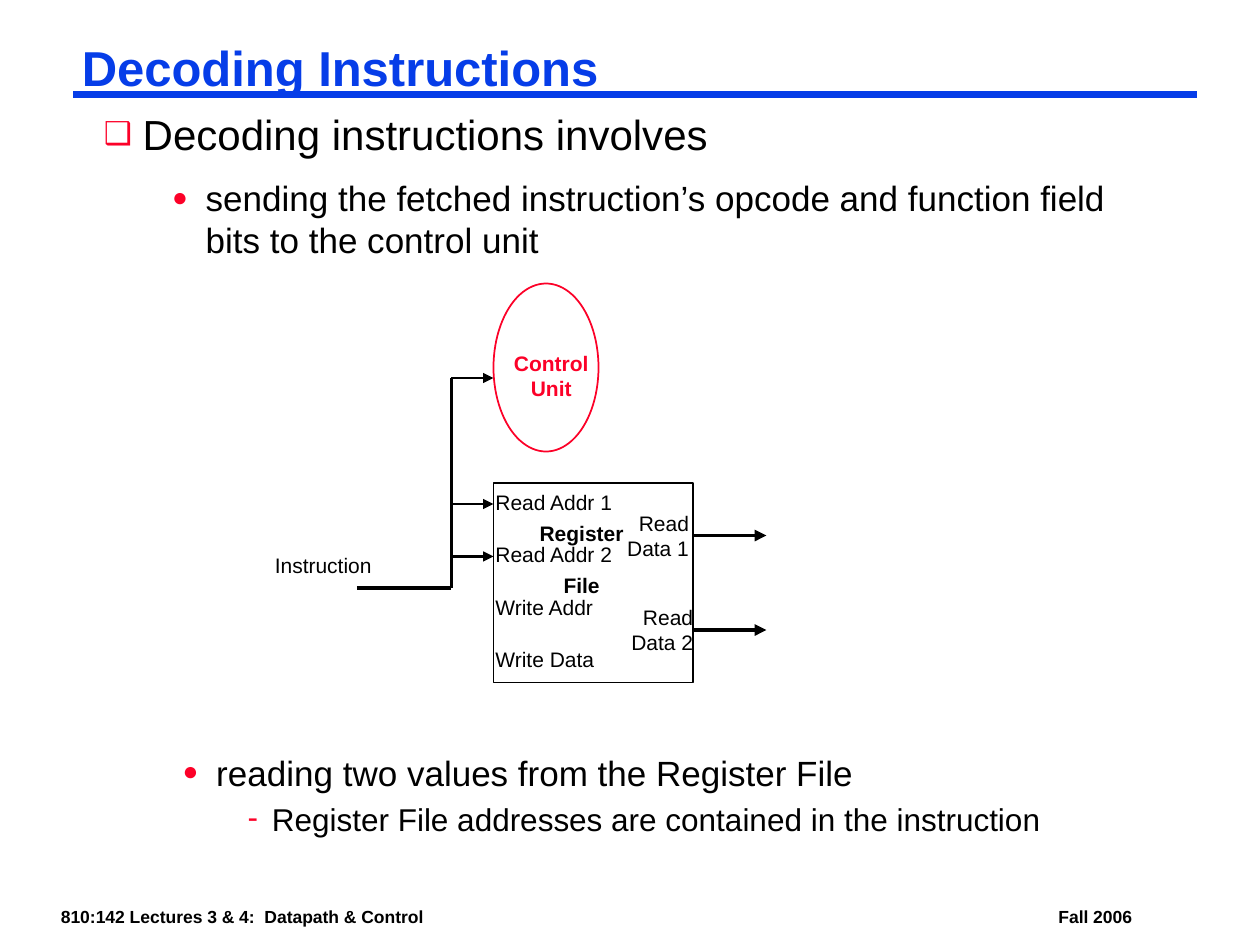
from dataclasses import dataclass

from lxml import etree
from pptx import Presentation
from pptx import util as u
from pptx.dml.color import RGBColor
from pptx.enum import shapes, text
from pptx.oxml.ns import qn

PX = u.Inches(1) // 120
FONT = "Arial"
BLACK = RGBColor(0x00, 0x00, 0x00)
BLUE = RGBColor(0x06, 0x3D, 0xE8)
RED = RGBColor(0xFC, 0x01, 0x28)
LEFT, CENTER, RIGHT = text.PP_ALIGN.LEFT, text.PP_ALIGN.CENTER, text.PP_ALIGN.RIGHT


@dataclass
class Label:
    words: str
    left: int
    top: int
    width: int
    height: int
    size: int = 12
    bold: bool = False
    color: RGBColor = BLACK
    align: text.PP_ALIGN = LEFT
    inset: tuple[int, int] = (12, 6)
    spacing: float = 1.0
    gap: int = 0


@dataclass
class Wire:
    start: tuple[int, int]
    end: tuple[int, int]
    weight: float = 2.25
    arrow: bool = False
    color: RGBColor = BLACK


@dataclass
class Bullet:
    """One bullet style; indent and hanging are px, before is points."""
    mark: str
    size: int
    level: int
    indent: int
    hanging: int
    before: float
    mark_percent: int = 75


TOPIC = Bullet("❑", 24, 0, 37, 37, 19.5)
POINT = Bullet("●", 20, 1, 97, 32, 10)
DETAIL = Bullet("-", 18, 2, 150, 23, 9, 100)

RULE = Wire((70, 90), (1140, 90), 4.5, color=BLUE)
SLIM = (8, 3)
PAGE_LABELS = [
    Label("810:142 Lectures 3 & 4:  Datapath & Control", 50, 860, 380, 26, 10, True, inset=SLIM),
    Label("Fall 2006", 1000, 860, 100, 26, 10, True, inset=SLIM),
    Label("Decoding Instructions", 70, 40, 1070, 55, 28, True, BLUE,
          inset=SLIM, spacing=0.87),
]
BUS_X, PORT_X, OUTPUT_X = 430, 470, 660
WIRES = [
    Wire((340, 560), (BUS_X, 560)),
    Wire((BUS_X, 360), (BUS_X, 560)),
    Wire((BUS_X, 360), (PORT_X, 360), 1, True),
    *[Wire((BUS_X, y), (PORT_X, y), 1.5, True) for y in (480, 530)],
    *[Wire((OUTPUT_X, y), (OUTPUT_X + 70, y), arrow=True) for y in (510, 600)],
]
PORTS = ["Read Addr 1", "Read Addr 2", "Write Addr", "Write Data"]
DIAGRAM_LABELS = [
    Label("Instruction", 250, 520, 130, 36),
    *[Label(port, 460, 460 + 50 * row, 140, 36) for row, port in enumerate(PORTS)],
    Label("Register\nFile", 494, 490, 120, 84, bold=True, align=CENTER, gap=15),
    Label("Read\nData 1", 579, 480, 89, 60, align=RIGHT),
    Label("Read\nData 2", 583, 570, 89, 60, align=RIGHT),
    Label("Control\nUnit", 480, 330, 90, 60, bold=True, color=RED, align=CENTER, inset=(2, 4)),
]


def add_frame(page, left: int, top: int, width: int, height: int, inset: tuple[int, int]):
    box = page.shapes.add_textbox(left * PX, top * PX, width * PX, height * PX)
    frame = box.text_frame
    frame.word_wrap = True
    frame.margin_left = frame.margin_right = inset[0] * PX
    frame.margin_top = frame.margin_bottom = inset[1] * PX
    return frame


def format_spans(paragraph, size: int, color: RGBColor, bold: bool = False) -> None:
    for span in paragraph.runs:
        span.font.name = FONT
        span.font.size = u.Pt(size)
        span.font.bold = bold
        span.font.color.rgb = color


def add_label(page, label: Label) -> None:
    frame = add_frame(page, label.left, label.top, label.width, label.height, label.inset)
    frame.text = label.words
    for index, paragraph in enumerate(frame.paragraphs):
        paragraph.alignment = label.align
        paragraph.line_spacing = label.spacing
        paragraph.space_before = u.Pt(label.gap if index else 0)
        format_spans(paragraph, label.size, label.color, label.bold)


def add_wire(page, wire: Wire) -> None:
    ends = [value * PX for value in (*wire.start, *wire.end)]
    line = page.shapes.add_connector(shapes.MSO_CONNECTOR.STRAIGHT, *ends)
    line.line.color.rgb = wire.color
    line.line.width = u.Pt(wire.weight)
    if wire.arrow:
        outline = line._element.spPr.find(qn("a:ln"))
        etree.SubElement(outline, qn("a:tailEnd"), type="triangle")
    etree.SubElement(line._element.spPr, qn("a:effectLst"))


def add_outline(page, kind: shapes.MSO_SHAPE, left: int, top: int,
                width: int, height: int, color: RGBColor) -> None:
    shape = page.shapes.add_shape(kind, left * PX, top * PX, width * PX, height * PX)
    shape.shadow.inherit = False
    shape.fill.background()
    shape.line.color.rgb = color
    shape.line.width = u.Pt(1)


def set_bullet(paragraph, style: Bullet) -> None:
    properties = paragraph._p.get_or_add_pPr()
    properties.set("marL", str(style.indent * PX))
    properties.set("indent", str(-style.hanging * PX))
    color = etree.SubElement(properties, qn("a:buClr"))
    etree.SubElement(color, qn("a:srgbClr"), val=str(RED))
    etree.SubElement(properties, qn("a:buSzPct"), val=str(style.mark_percent * 1000))
    etree.SubElement(properties, qn("a:buFont"), typeface=FONT)
    etree.SubElement(properties, qn("a:buChar"), char=style.mark)


def add_bullets(page, left: int, top: int, width: int, height: int,
                items: list[tuple[Bullet, str, float]]) -> None:
    """Each item is a style, its words and a line spacing."""
    frame = add_frame(page, left, top, width, height, SLIM)
    frame.text = "\n".join(words for _, words, _ in items)
    for paragraph, (style, _, spacing) in zip(frame.paragraphs, items):
        paragraph.level = style.level
        paragraph.line_spacing = spacing
        paragraph.space_before = u.Pt(style.before)
        set_bullet(paragraph, style)
        format_spans(paragraph, style.size, BLACK)


def main() -> None:
    deck = Presentation()
    deck.slide_width, deck.slide_height = 1200 * PX, 900 * PX
    page = deck.slides.add_slide(deck.slide_layouts[6])

    add_wire(page, RULE)
    for label in PAGE_LABELS:
        add_label(page, label)
    add_bullets(page, 91, 100, 1030, 151, [
        (TOPIC, "Decoding instructions involves", 1.0),
        (POINT, "sending the fetched instruction’s opcode and function field "
                "bits to the control unit", 1.0),
    ])

    add_outline(page, shapes.MSO_SHAPE.RECTANGLE, PORT_X, 460, 190, 190, BLACK)
    add_outline(page, shapes.MSO_SHAPE.OVAL, PORT_X, 270, 100, 160, RED)
    for wire in WIRES:
        add_wire(page, wire)
    for label in DIAGRAM_LABELS:
        add_label(page, label)

    add_bullets(page, 101, 720, 1030, 80, [
        (POINT, "reading two values from the Register File", 0.8),
        (DETAIL, "Register File addresses are contained in the instruction", 0.75),
    ])
    deck.save("out.pptx")


if __name__ == "__main__":
    main()
